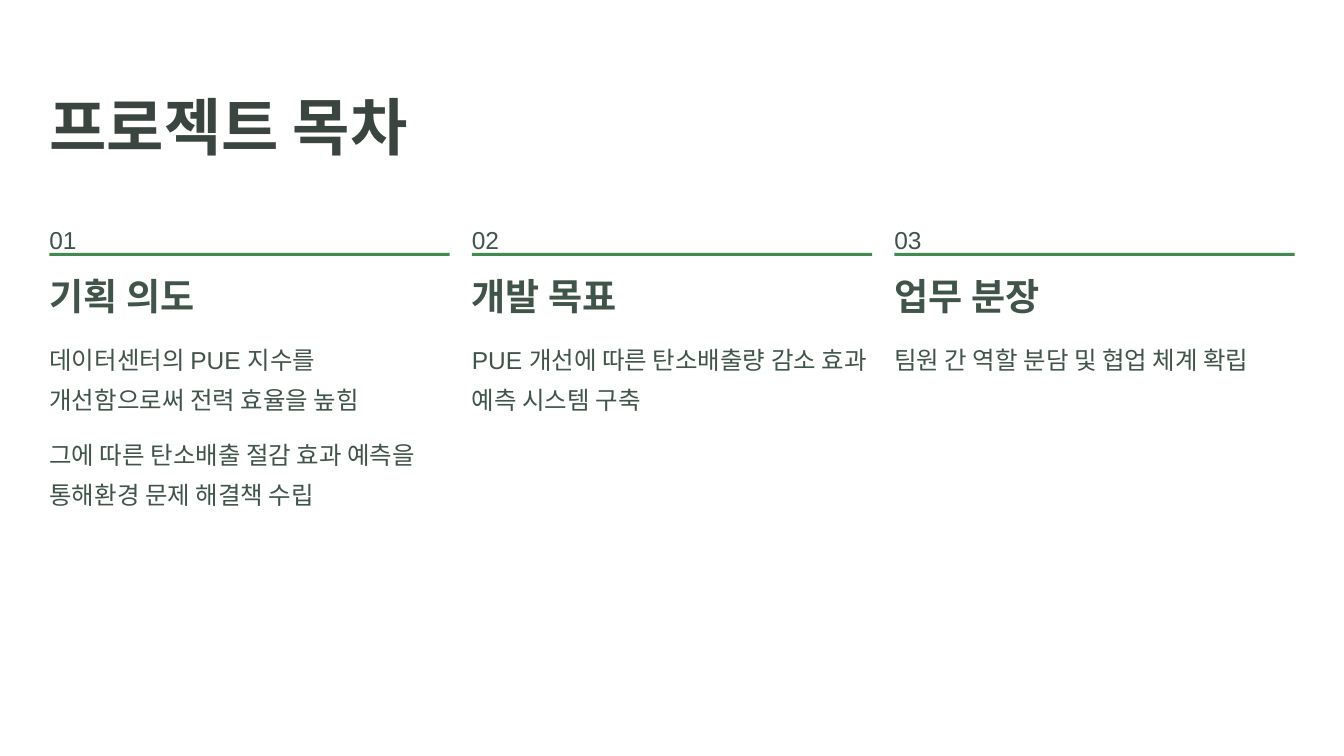
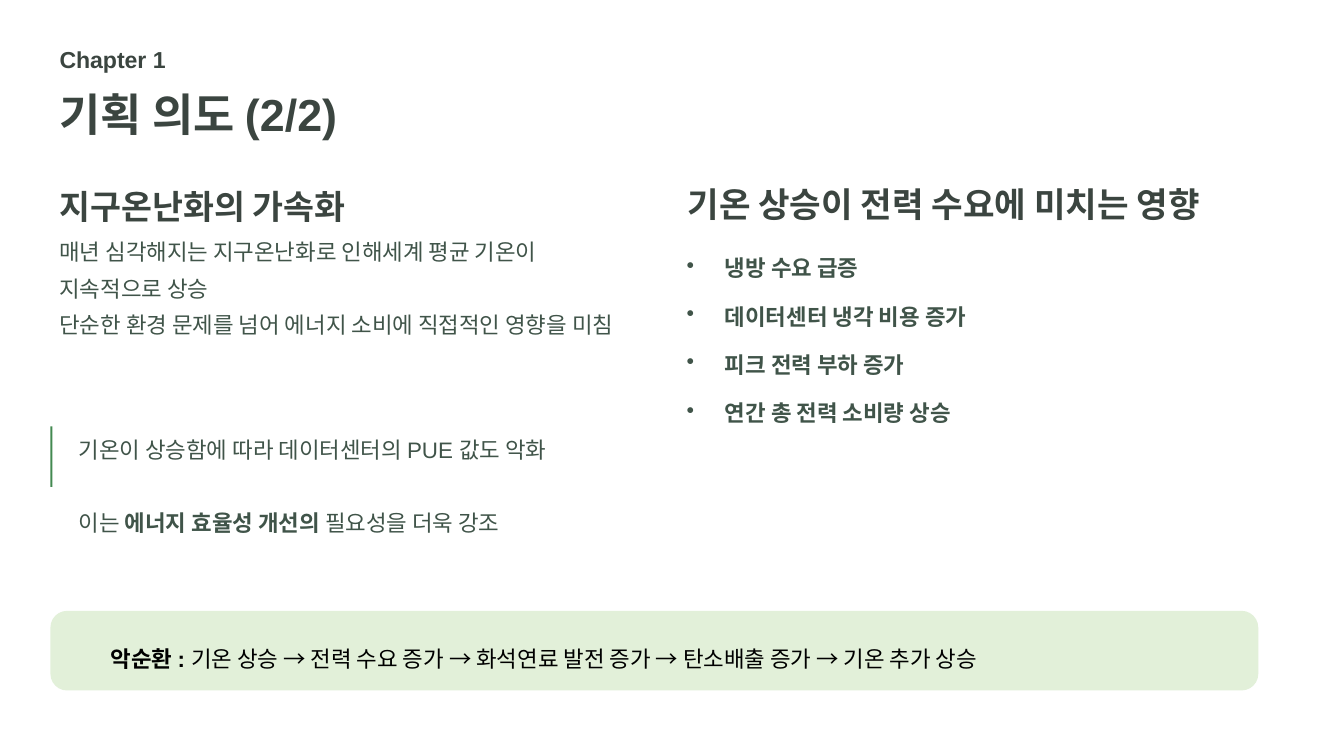
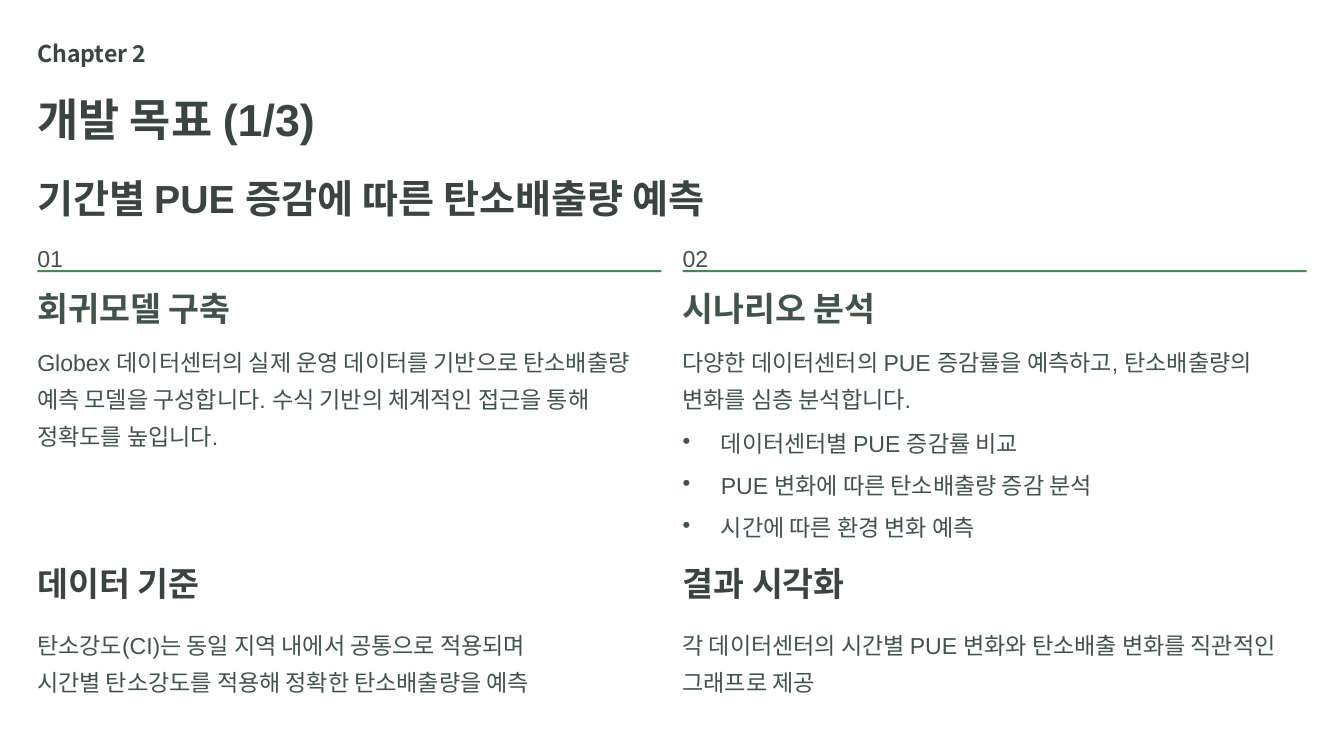
"""Build three slides on data centre PUE and carbon emissions."""
import pptx
import pptx.dml.color
import pptx.enum.shapes
import pptx.oxml.ns
import pptx.util
import lxml.etree

Inches = pptx.util.Inches
Pt = pptx.util.Pt
RGBColor = pptx.dml.color.RGBColor
MSO_SHAPE = pptx.enum.shapes.MSO_SHAPE
qn = pptx.oxml.ns.qn

INK = RGBColor(0x3B, 0x45, 0x40)
MOSS = RGBColor(0x40, 0x54, 0x49)
LEAF = RGBColor(0x43, 0x89, 0x51)
MINT = RGBColor(0xE2, 0xF0, 0xD9)
BLACK = RGBColor(0, 0, 0)
LATIN = "Arial"
HANGUL = "Noto Sans CJK KR"
HANGING = 0.38


class Deck:
    """Holds the shared style and the current slide."""

    def __init__(self):
        self.presentation = pptx.Presentation()
        self.presentation.slide_width = Inches(13.33)
        self.presentation.slide_height = Inches(7.5)
        self.slide = None

    def new_slide(self):
        self.slide = self.presentation.slides.add_slide(self.presentation.slide_layouts[6])

    def text(self, left, top, width, height, paragraphs, size, leading,
             color=MOSS, bold=False, gap=0, bullet=False, font=LATIN):
        """Each paragraph is a string or a list of (text, bold) pairs."""
        frame = self.slide.shapes.add_textbox(
            Inches(left), Inches(top), Inches(width), Inches(height)).text_frame
        frame.margin_left = frame.margin_right = frame.margin_top = frame.margin_bottom = 0
        frame.word_wrap = True
        for index, content in enumerate(paragraphs):
            paragraph = frame.add_paragraph() if index else frame.paragraphs[0]
            paragraph.line_spacing = Pt(leading)
            if index and gap:
                paragraph.space_before = Pt(gap)
            if bullet:
                self.bullet(paragraph)
            pieces = [(content, bold)] if isinstance(content, str) else content
            for words, heavy in pieces:
                for number, line in enumerate(words.split("\n")):
                    if number:
                        paragraph.add_line_break()
                    self.run(paragraph, line, size, color, heavy, font)

    def run(self, paragraph, words, size, color, bold, font):
        run = paragraph.add_run()
        run.text = words
        run.font.size = Pt(size)
        run.font.bold = bold
        run.font.color.rgb = color
        run.font.name = font
        lxml.etree.SubElement(run._r.get_or_add_rPr(), qn("a:ea"), typeface=HANGUL)

    def bullet(self, paragraph):
        properties = paragraph._p.get_or_add_pPr()
        properties.set("marL", str(Inches(HANGING)))
        properties.set("indent", str(-Inches(HANGING)))
        lxml.etree.SubElement(properties, qn("a:buChar"), char="•")

    def block(self, left, top, width, height, fill=LEAF, corner=None):
        kind = MSO_SHAPE.RECTANGLE if corner is None else MSO_SHAPE.ROUNDED_RECTANGLE
        block = self.slide.shapes.add_shape(
            kind, Inches(left), Inches(top), Inches(width), Inches(height))
        if corner is not None:
            block.adjustments[0] = corner
        block.shadow.inherit = False
        block.fill.solid()
        block.fill.fore_color.rgb = fill
        block.line.fill.background()

    def title(self, left, top, width, height, words, size, leading, font=LATIN):
        self.text(left, top, width, height, [words], size, leading, INK, True, font=font)

    def section_head(self, left, tops, width, thickness, number, heading, sizes, leadings):
        number_top, rule_top, heading_top = tops
        self.text(left, number_top, 0.4, 0.31, [number], sizes[0], leadings[0])
        self.block(left, rule_top, width, thickness)
        self.text(left, heading_top, width, 0.47, [heading], sizes[1], leadings[1], bold=True)


def contents_slide(deck):
    deck.new_slide()
    deck.title(0.49, 0.85, 5.37, 0.78, "프로젝트 목차", 44.5, 55.5)
    chapters = [
        ("기획 의도", ["데이터센터의 PUE 지수를 개선함으로써 전력 효율을 높힘",
                   "그에 따른 탄소배출 절감 효과 예측을 통해환경 문제 해결책 수립"]),
        ("개발 목표", ["PUE 개선에 따른 탄소배출량 감소 효과 예측 시스템 구축"]),
        ("업무 분장", ["팀원 간 역할 분담 및 협업 체계 확립"]),
    ]
    for index, (heading, summary) in enumerate(chapters):
        left = 0.49 + 4.19 * index
        deck.section_head(left, (2.13, 2.51, 2.7), 3.97, 0.03, f"{index + 1:02}", heading,
                          (17.5, 26.5), (28.5, 33))
        deck.text(left, 3.32, 3.97, 0.79, summary, 17.5, 28.5, gap=10.75)


def intent_slide(deck):
    deck.new_slide()
    deck.title(0.59, 0.44, 1.99, 0.25, "Chapter 1", 16.5, 20.5)
    deck.title(0.59, 0.69, 4.72, 0.58, "기획 의도 (2/2)", 32, 51)
    deck.title(0.59, 1.68, 3.77, 0.47, "지구온난화의 가속화", 24, 40.5)
    deck.text(0.59, 2.27, 5.76, 0.9, [
        "매년 심각해지는 지구온난화로 인해세계 평균 기온이 지속적으로 상승",
        "단순한 환경 문제를 넘어 에너지 소비에 직접적인 영향을 미침"], 16, 26)
    deck.title(6.82, 1.8, 5.76, 0.35, "기온 상승이 전력 수요에 미치는 영향", 24.5, 30.5)
    deck.text(6.81, 2.43, 5.76, 1.75, [
        "냉방 수요 급증", "데이터센터 냉각 비용 증가",
        "피크 전력 부하 증가", "연간 총 전력 소비량 상승"],
        16, 26, bold=True, gap=8.5, bullet=True)
    deck.block(0.5, 4.23, 0.02, 0.6)
    deck.text(0.78, 4.23, 5.48, 0.6, [
        "기온이 상승함에 따라 데이터센터의 PUE 값도 악화",
        [("이는 ", False), ("에너지 효율성 개선의 ", True), ("필요성을 더욱 강조", False)]],
        16, 26, gap=26)
    deck.block(0.5, 6.06, 11.98, 0.79, MINT, corner=0.21)
    deck.text(1.1, 6.31, 11.18, 0.3, [[
        ("악순환 :", True),
        (" 기온 상승 → 전력 수요 증가 → 화석연료 발전 증가 → 탄소배출 증가 → 기온 추가 상승", False)]],
        16, 26, BLACK)


def goal_slide(deck):
    deck.new_slide()
    deck.title(0.37, 0.31, 2.55, 0.33, "Chapter 2", 16.5, 26, HANGUL)
    deck.title(0.37, 0.72, 5.1, 0.67, "개발 목표 (1/3)", 32, 52)
    deck.title(0.37, 1.62, 7.1, 0.53, "기간별 PUE 증감에 따른 탄소배출량 예측", 28, 41.5)
    columns = [
        ("회귀모델 구축",
         "Globex 데이터센터의 실제 운영 데이터를 기반으로 탄소배출량 예측 모델을 구성합니다. "
         "수식 기반의 체계적인 접근을 통해 정확도를 높입니다.",
         "데이터 기준",
         "탄소강도(CI)는 동일 지역 내에서 공통으로 적용되며\n"
         "시간별 탄소강도를 적용해 정확한 탄소배출량을 예측"),
        ("시나리오 분석",
         "다양한 데이터센터의 PUE 증감률을 예측하고, 탄소배출량의 변화를 심층 분석합니다.",
         "결과 시각화",
         "각 데이터센터의 시간별 PUE 변화와 탄소배출 변화를 직관적인 그래프로 제공"),
    ]
    for index, (heading, method, topic, detail) in enumerate(columns):
        left = 0.37 + 6.4 * index
        deck.section_head(left, (2.33, 2.68, 2.83), 6.19, 0.02, f"{index + 1:02}", heading,
                          (16.5, 24), (26.5, 31))
        deck.text(left, 3.36, 6.19, 0.68, [method], 16.5, 26.5)
        deck.title(left, 5.62, 2.55, 0.33, topic, 24, 26)
        deck.text(left, 6.17, 6.05, 0.68, [detail], 16.5, 26.5)
    deck.text(6.77, 4.17, 6.19, 1.17, [
        "데이터센터별 PUE 증감률 비교", "PUE 변화에 따른 탄소배출량 증감 분석",
        "시간에 따른 환경 변화 예측"], 16.5, 26.5, gap=3.5, bullet=True)


def main():
    deck = Deck()
    contents_slide(deck)
    intent_slide(deck)
    goal_slide(deck)
    deck.presentation.save("out.pptx")


if __name__ == "__main__":
    main()
